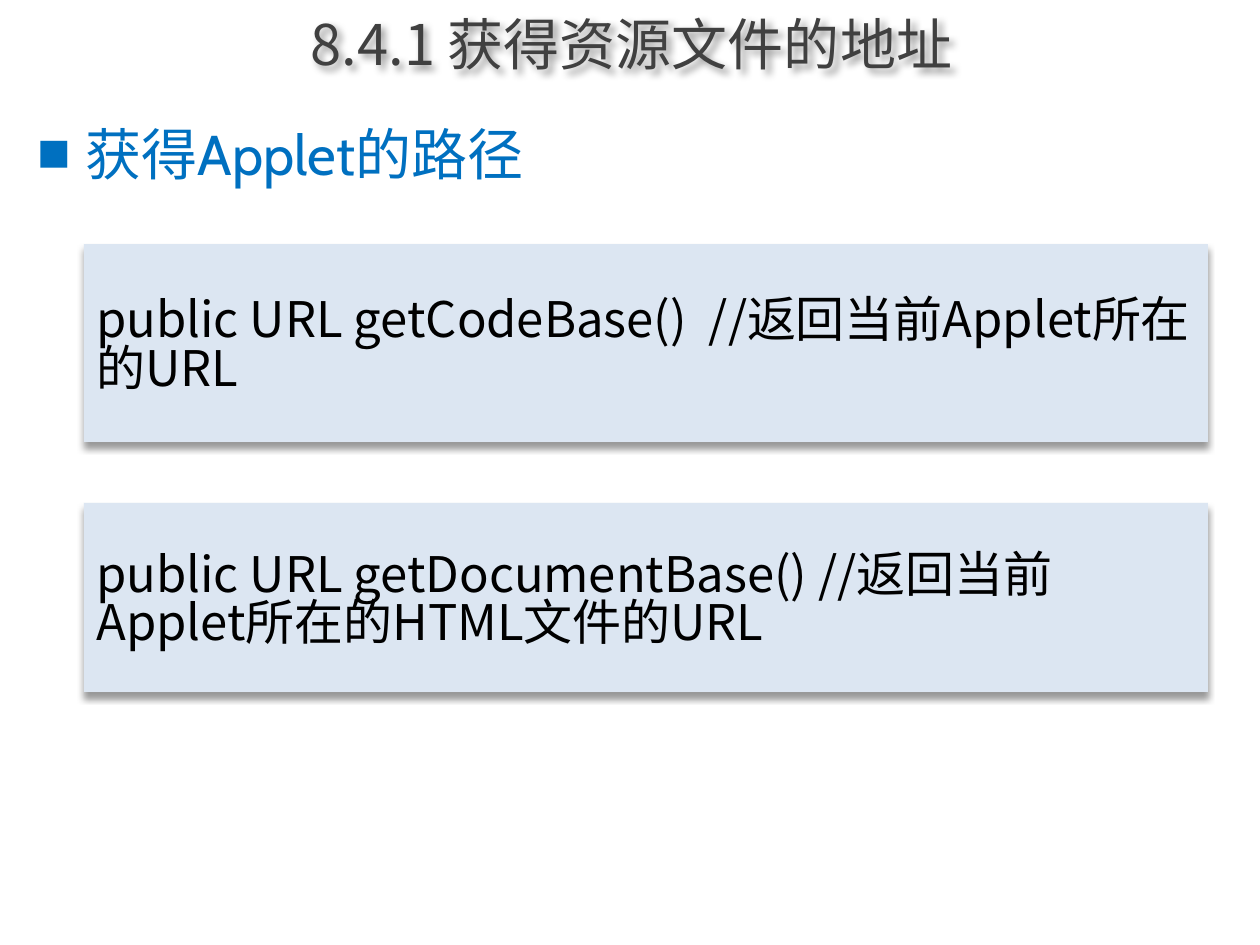
from lxml.etree import SubElement
from pptx import Presentation
from pptx.dml.color import RGBColor
from pptx.enum.shapes import MSO_SHAPE
from pptx.enum.text import MSO_ANCHOR, PP_ALIGN
from pptx.oxml.ns import qn
from pptx.util import Pt

PX = 914400 / 126
BLUE = RGBColor(0x00, 0x70, 0xC0)
GREY = RGBColor(0x40, 0x40, 0x40)
BLACK = RGBColor(0x00, 0x00, 0x00)
PALE_BLUE = RGBColor(0xDC, 0xE6, 0xF2)
SANS = "Noto Sans CJK SC"


def write(shape, text, size, color, font=SANS):
    """Set one wrapped paragraph, with Latin and East Asian fonts."""
    frame = shape.text_frame
    frame.word_wrap = True
    frame.text = text
    para = frame.paragraphs[0]
    span = para.runs[0]
    span.font.size = Pt(size)
    span.font.name = font
    span.font.color.rgb = color
    SubElement(span.font._element, qn("a:ea"), typeface=SANS)
    return para


def add_shadow(shape, blur, distance, angle):
    """Cast a black shadow at 40% opacity; lengths in points, angle in degrees."""
    shape.shadow.inherit = False
    effects = shape._element.spPr.find(qn("a:effectLst"))
    shadow = SubElement(effects, qn("a:outerShdw"), blurRad=str(Pt(blur)),
                        dist=str(Pt(distance)), dir=str(angle * 60000),
                        rotWithShape="0")
    tone = SubElement(shadow, qn("a:srgbClr"), val="000000")
    SubElement(tone, qn("a:alpha"), val="40000")


deck = Presentation()
deck.slide_width = round(1260 * PX)
deck.slide_height = round(945 * PX)
page = deck.slides.add_slide(deck.slide_layouts[6])

# Bulleted heading
body = page.shapes.add_textbox(*[round(v * PX) for v in (25, 125, 1211, 804)])
para = write(body, "获得Applet的路径", 32, BLUE, "Cabin")
para.line_spacing = 0.83
para.space_before = Pt(3)
properties = para._p.get_or_add_pPr()
properties.set("marL", str(round(48 * PX)))
properties.set("indent", str(round(-48 * PX)))
SubElement(properties, qn("a:buSzPct"), val="60000")
SubElement(properties, qn("a:buFont"), typeface=SANS)
SubElement(properties, qn("a:buChar"), char="■")

# Title
title = page.shapes.add_textbox(*[round(v * PX) for v in (91, 0, 1094, 86)])
title.text_frame.vertical_anchor = MSO_ANCHOR.MIDDLE
write(title, "8.4.1 获得资源文件的地址 ", 32, GREY).alignment = PP_ALIGN.CENTER
add_shadow(title, 4, 3, 45)

# Method signatures
methods = [
    (244, 198, "public URL getCodeBase()  //返回当前Applet所在的URL"),
    (503, 189, "public URL getDocumentBase() //返回当前Applet所在的HTML文件的URL"),
]
for top, height, text in methods:
    box = page.shapes.add_shape(
        MSO_SHAPE.RECTANGLE, *[round(v * PX) for v in (84, top, 1124, height)])
    box.fill.solid()
    box.fill.fore_color.rgb = PALE_BLUE
    box.line.fill.background()
    add_shadow(box, 4, 3, 90)
    box.text_frame.vertical_anchor = MSO_ANCHOR.MIDDLE
    box.text_frame.margin_top = round(15 * PX)
    para = write(box, text, 28, BLACK)
    para.alignment = PP_ALIGN.LEFT
    para.line_spacing = 0.83

deck.save("out.pptx")
